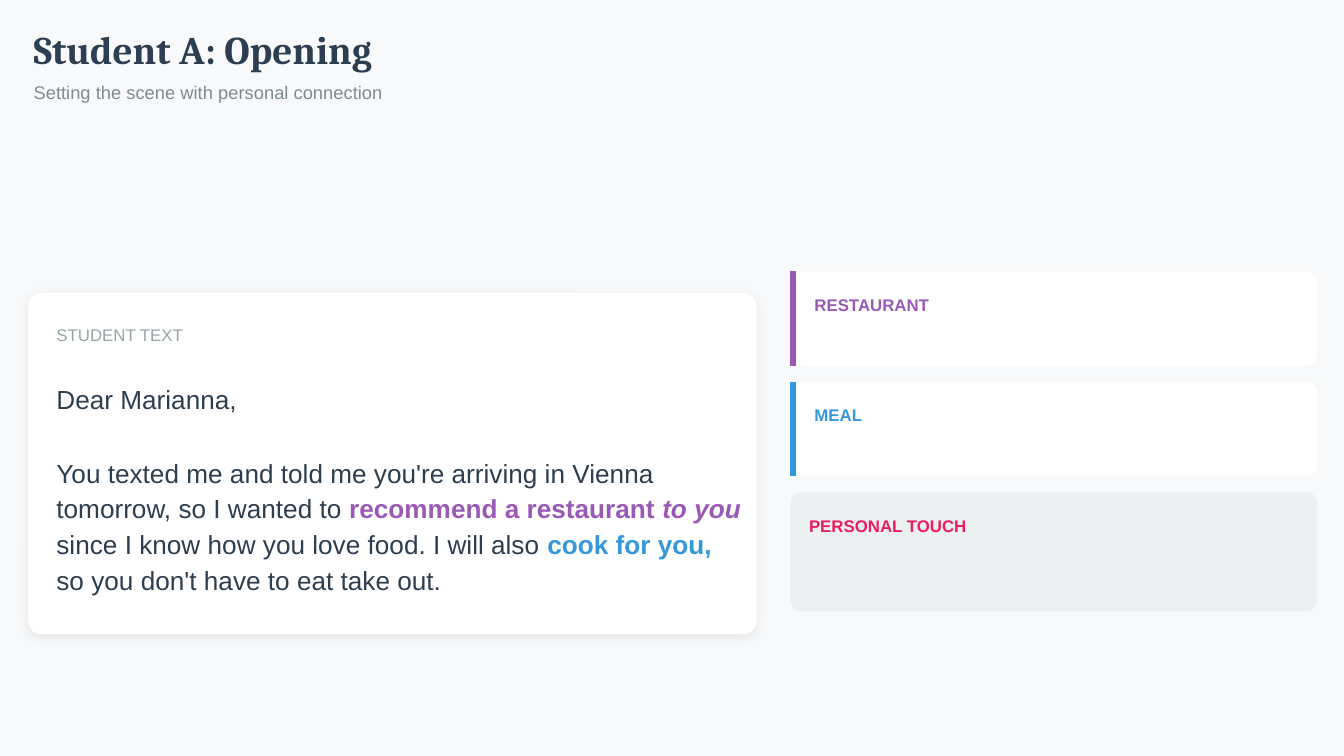
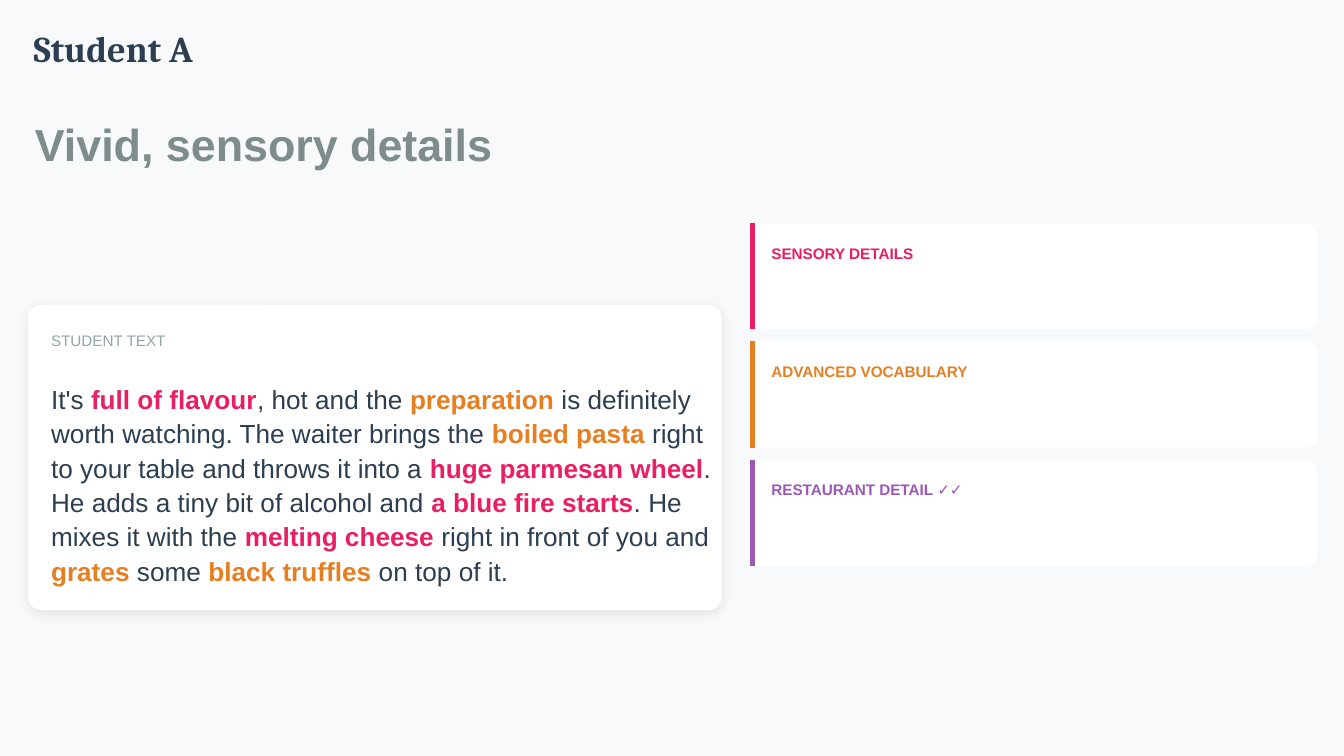
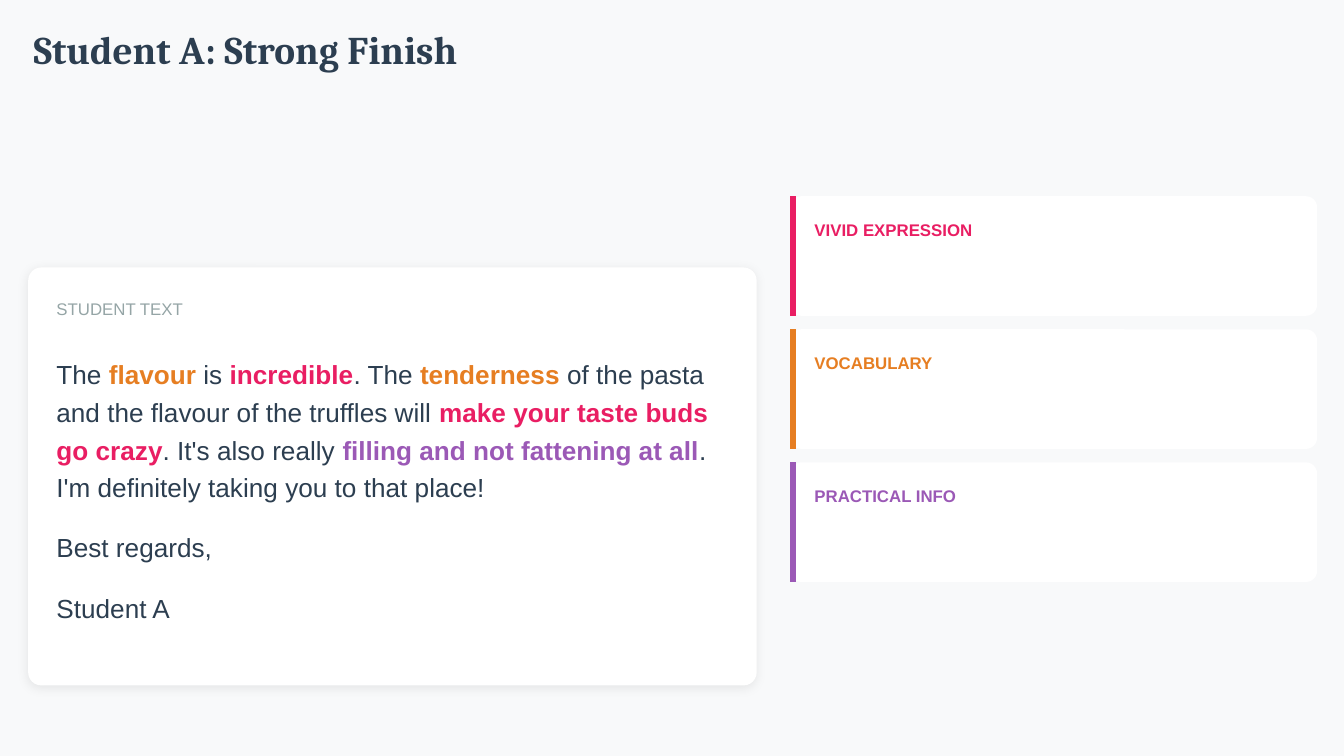
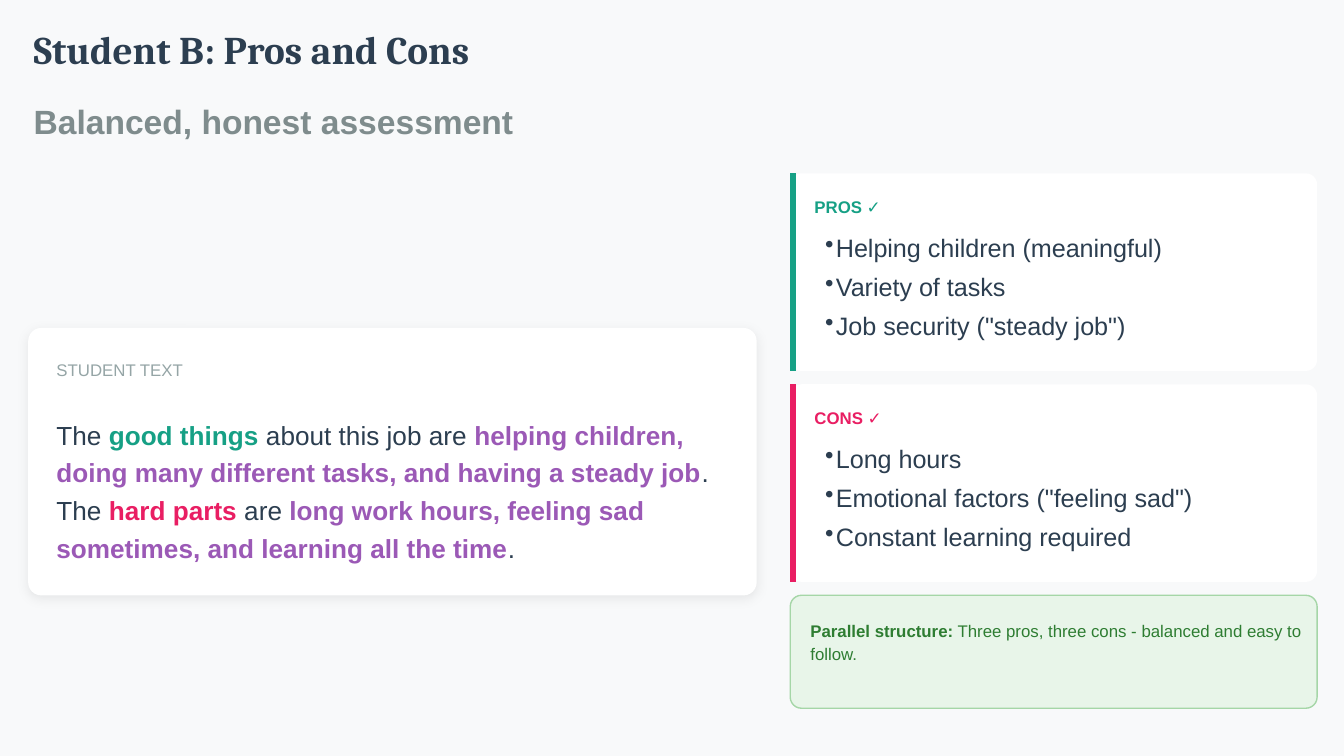
import pptx
import pptx.util
import pptx.dml.color
import pptx.enum.shapes
import pptx.oxml
import pptx.oxml.ns
from lxml import etree

Inches, Pt = pptx.util.Inches, pptx.util.Pt
SHAPE = pptx.enum.shapes.MSO_SHAPE
LINE = pptx.enum.shapes.MSO_CONNECTOR.STRAIGHT
qn = pptx.oxml.ns.qn

COLORS = {
    "bg": "F8F9FA", "white": "FFFFFF", "ink": "2C3E50", "subtitle": "7F8C8D",
    "label": "95A5A6", "purple": "9B59B6", "blue": "3498DB", "pink": "E91E63",
    "orange": "E67E22", "teal": "16A085", "grey": "ECF0F1",
    "mint": "E8F5E9", "mint_line": "A5D6A7", "green": "2E7D32",
}
SHADOW = (
    '<a:effectLst xmlns:a="http://schemas.openxmlformats.org/drawingml/2006/main">'
    '<a:outerShdw blurRad="76200" dist="19050" dir="5400000" algn="bl" rotWithShape="0">'
    '<a:srgbClr val="000000"><a:alpha val="8000"/></a:srgbClr>'
    '</a:outerShdw></a:effectLst>'
)


def rgb(name):
    return pptx.dml.color.RGBColor.from_string(COLORS[name])


class Deck:
    """Shared style plus the slide being built."""

    def __init__(self):
        self.prs = pptx.Presentation()
        self.prs.slide_width, self.prs.slide_height = Inches(10), Inches(5.625)
        self.slide = None

    def new_slide(self, title, size=21, width=4.86, height=0.29):
        self.slide = self.prs.slides.add_slide(self.prs.slide_layouts[6])
        fill = self.slide.background.fill
        fill.solid()
        fill.fore_color.rgb = rgb("bg")
        self.text(0.25, 0.25, width, height, [title], size, size,
                  font="Cambria", bold=True)

    def text(self, x, y, w, h, paras, size, spacing, color="ink", font="Arial",
             bold=False, before=None, after=None, bullet=False):
        """Each paragraph is a string or a list of runs: a string, or
        (text, color) for a bold run, with an optional italic flag."""
        sp = self.slide.shapes.add_textbox(Inches(x), Inches(y), Inches(w), Inches(h))
        tf = sp.text_frame
        frame = {"word_wrap": True, "margin_left": Inches(0.08 if bullet else 0),
                 "margin_top": 0, "margin_right": 0, "margin_bottom": 0}
        for key, value in frame.items():
            setattr(tf, key, value)
        for i, para in enumerate(paras):
            p = tf.add_paragraph() if i else tf.paragraphs[0]
            p.line_spacing = Pt(spacing)
            for key, value in {"space_before": before, "space_after": after}.items():
                if value:
                    setattr(p, key, Pt(value))
            if bullet:
                pPr = p._p.get_or_add_pPr()
                pPr.set("marL", str(Inches(0.08)))
                pPr.set("indent", str(-Inches(0.08)))
                etree.SubElement(pPr, qn("a:buChar")).set("char", "•")
            for run in [para] if isinstance(para, str) else para:
                words, tint, *italic = (run, None) if isinstance(run, str) else run
                r = p.add_run()
                r.text = words
                style = {"name": font, "size": Pt(size),
                         "bold": bold or tint is not None, "italic": bool(italic)}
                for key, value in style.items():
                    setattr(r.font, key, value)
                r.font.color.rgb = rgb(tint or color)

    def subtitle(self, words, x, y, w, h, size, bold=True):
        self.text(x, y, w, h, [words], size, 13.7, "subtitle", bold=bold, before=3)

    def panel(self, x, y, w, h, fill="white", line=None, radius=6, shadow=False):
        sp = self.slide.shapes.add_shape(SHAPE.ROUNDED_RECTANGLE, Inches(x), Inches(y),
                                         Inches(w), Inches(h))
        sp.adjustments[0] = Pt(radius) / min(sp.width, sp.height)
        sp.fill.solid()
        sp.fill.fore_color.rgb = rgb(fill)
        if line:
            sp.line.color.rgb = rgb(line)
            sp.line.width = Pt(0.75)
        else:
            sp.line.fill.background()
        if shadow:
            sp._element.spPr.append(pptx.oxml.parse_xml(SHADOW))
        else:
            sp.shadow.inherit = False

    def bar(self, x, y, h, color):
        sp = self.slide.shapes.add_connector(LINE, Inches(x), Inches(y),
                                             Inches(x), Inches(y + h))
        sp.line.color.rgb = rgb(color)
        sp.line.width = Pt(3)
        etree.SubElement(sp._element.spPr, qn("a:effectLst"))

    def student_card(self, y, h, w=5.42, inset=0.21, text_w=5.1, size=9,
                     spacing=12.6, after=6):
        self.panel(0.21, y, w, h, radius=7, shadow=True)
        self.text(0.21 + inset, y + inset, text_w, 0.17, ["STUDENT TEXT"], size,
                  spacing, "label", after=after)

    def body(self, y, h, paras, spacing, x=0.42, w=5.1, before=None):
        self.text(x, y, w, h, paras, 14, spacing, before=before)

    def note(self, y, h, label, color, x=5.88, w=3.92, dx=0.18, dy=0.15,
             text_w=3.65, size=9, spacing=12.6, after=3, fill="white", bar=True):
        self.panel(x, y, w, h, fill)
        if bar:
            self.bar(x + 0.02, y, h, color)
        self.text(x + dx, y + dy, text_w, 0.17, [label], size, spacing, color,
                  bold=True, after=after)

    def bullets(self, y, items):
        self.text(6.06, y, 3.58, 0.96, items, 13.5, 21, bullet=True)


def opening(deck):
    deck.new_slide("Student A: Opening")
    deck.subtitle("Setting the scene with personal connection",
                  0.25, 0.58, 9.69, 0.19, 9.8, bold=False)
    # Student text
    deck.student_card(2.18, 2.54)
    deck.body(2.82, 0.27, ["Dear Marianna,"], 19.1)
    deck.body(3.37, 0.8, [[
        "You texted me and told me you're arriving in Vienna tomorrow, so I wanted to ",
        ("recommend a restaurant ", "purple"), ("to you ", "purple", True),
        "since I know how you love food. I will also ", ("cook for you,", "blue"),
        " so you don't have to eat take out."]], 19.1, before=9)
    # Notes
    top, pitch = 2.02, 0.82
    deck.note(top, 0.7, "RESTAURANT", "purple")
    deck.note(top + pitch, 0.7, "MEAL", "blue")
    deck.note(top + 2 * pitch, 0.89, "PERSONAL TOUCH", "pink", dx=0.14,
              text_w=3.7, fill="grey", bar=False)


def sensory_details(deck):
    deck.new_slide("Student A", 19.5, 6.42, 0.5)
    deck.subtitle("Vivid, sensory details", 0.26, 1.08, 9.69, 0.19, 24)
    # Student text
    small = {"size": 8.2, "spacing": 11.6}
    deck.student_card(2.27, 2.27, 5.16, 0.17, 4.92, after=4.5, **small)
    deck.body(2.83, 1.28, [[
        "It's ", ("full of flavour", "pink"), ", hot and the ",
        ("preparation", "orange"),
        " is definitely worth watching. The waiter brings the ",
        ("boiled pasta", "orange"), " right to your table and throws it into a ",
        ("huge parmesan wheel", "pink"), ". He adds a tiny bit of alcohol and ",
        ("a blue fire starts", "pink"), ". He mixes it with the ",
        ("melting cheese", "pink"), " right in front of you and ",
        ("grates", "orange"), " some ", ("black truffles", "orange"),
        " on top of it."]], 18.4, x=0.38, w=4.92)
    # Notes
    notes = [("SENSORY DETAILS", "pink"), ("ADVANCED VOCABULARY", "orange"),
             ("RESTAURANT DETAIL ✓✓", "purple")]
    for i, (label, color) in enumerate(notes):
        deck.note(1.66 + 0.88 * i, 0.79, label, color, x=5.58, w=4.22, dx=0.16,
                  dy=0.13, text_w=4, after=2.2, **small)


def strong_finish(deck):
    deck.new_slide("Student A: Strong Finish")
    # Student text
    deck.student_card(1.99, 3.11)
    deck.body(2.62, 0.84, [[
        "The ", ("flavour", "orange"), " is ", ("incredible", "pink"), ". The ",
        ("tenderness", "orange"),
        " of the pasta and the flavour of the truffles will ",
        ("make your taste buds go crazy", "pink"), ". It's also really ",
        ("filling and not fattening at all", "purple"),
        ". I'm definitely taking you to that place!"]], 20.2)
    deck.body(3.91, 0.56, ["Best regards,", "Student A"], 20.2, before=12)
    # Notes
    notes = [("VIVID EXPRESSION", "pink"), ("VOCABULARY", "orange"),
             ("PRACTICAL INFO", "purple")]
    for i, (label, color) in enumerate(notes):
        deck.note(1.46 + 0.99 * i, 0.89, label, color)


def pros_and_cons(deck):
    deck.new_slide("Student B: Pros and Cons")
    deck.subtitle("Balanced, honest assessment", 0.25, 0.86, 6.05, 0.29, 18)
    # Student text
    deck.student_card(2.44, 1.99)
    deck.body(3.07, 0.84, [[
        "The ", ("good things", "teal"), " about this job are ",
        ("helping children, doing many different tasks, and having a steady job",
         "purple"),
        ". The ", ("hard parts", "pink"), " are ",
        ("long work hours, feeling sad sometimes, and learning all the time", "purple"),
        "."]], 20.2)
    # Pros and cons
    top, pitch = 1.29, 1.57
    lists = [
        ("PROS ✓", "teal", ["Helping children (meaningful)", "Variety of tasks",
                            'Job security ("steady job")']),
        ("CONS ✓", "pink", ["Long hours", 'Emotional factors ("feeling sad")',
                            "Constant learning required"]),
    ]
    for i, (label, color, items) in enumerate(lists):
        y = top + pitch * i
        deck.note(y, 1.47, label, color)
        deck.bullets(y + 0.37, items)
    # Takeaway
    deck.panel(5.88, top + 2 * pitch, 3.92, 0.84, "mint", "mint_line")
    deck.text(6.03, 4.59, 3.67, 0.52, [[
        ("Parallel structure:", "green"),
        " Three pros, three cons - balanced and easy to follow."]], 9, 12.6, "green")


def main():
    deck = Deck()
    for build in (opening, sensory_details, strong_finish, pros_and_cons):
        build(deck)
    deck.prs.save("out.pptx")


if __name__ == "__main__":
    main()
